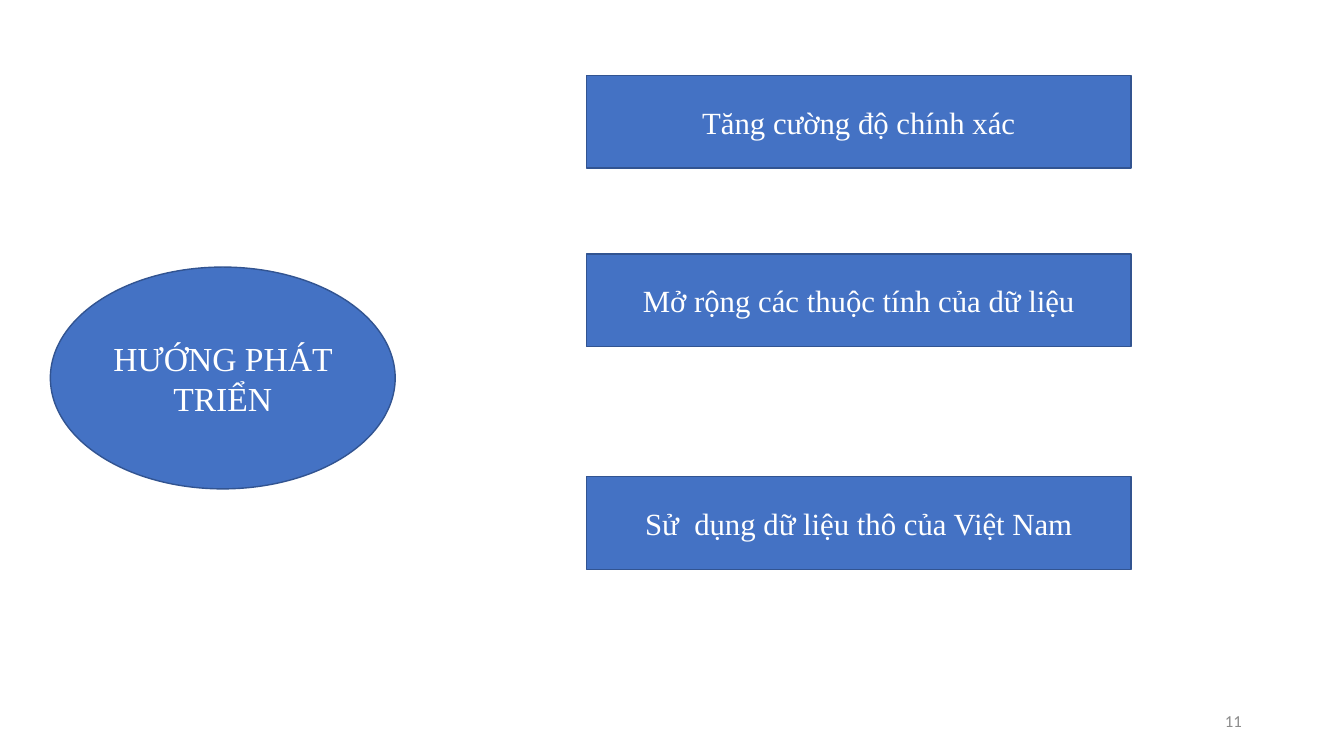
from pptx import Presentation
from pptx.dml.color import RGBColor as Rgb
from pptx.enum.shapes import MSO_SHAPE as Kind
from pptx.enum.text import MSO_ANCHOR as Anchor, PP_ALIGN as Align
from pptx.util import Cm, Pt

BLUE = Rgb(0x44, 0x72, 0xC4)
EDGE = Rgb(0x32, 0x54, 0x91)
WHITE = Rgb(0xFF, 0xFF, 0xFF)
GRAY = Rgb(0x8C, 0x8C, 0x8C)
SERIF = "Times New Roman"
GOALS = [
    (0, "Tăng cường độ chính xác"),
    (4.5, "Mở rộng các thuộc tính của dữ liệu"),
    (10.11, "Sử  dụng dữ liệu thô của Việt Nam"),
]


def write(shape, text, size, color, face, align):
    """Set the text of a shape and format it."""
    frame = shape.text_frame
    frame.word_wrap = True
    frame.vertical_anchor = Anchor.MIDDLE
    frame.text = text
    para = frame.paragraphs[0]
    para.alignment = align
    font = para.runs[0].font
    font.size = Pt(size)
    font.name = face
    font.color.rgb = color


def add_node(slide, kind, box, text, size):
    """Draw one blue shape with centred text in the box."""
    node = slide.shapes.add_shape(kind, *map(Cm, box))
    node.shadow.inherit = False
    node.fill.solid()
    node.fill.fore_color.rgb = BLUE
    node.line.color.rgb = EDGE
    node.line.width = Pt(1)
    write(node, text, size, WHITE, SERIF, Align.CENTER)


def add_topic(slide, box):
    """Draw the topic oval that fills the box."""
    add_node(slide, Kind.OVAL, box, "HƯỚNG PHÁT TRIỂN", 24)


def add_goals(slide, box):
    """Draw the goals down the box, the last one ending at its bottom."""
    left, top, width, height = box
    tall = height - GOALS[-1][0]
    for drop, text in GOALS:
        add_node(slide, Kind.RECTANGLE, (left, top + drop, width, tall), text, 22)


def add_number(slide, box):
    """Put the page number at the right of the box."""
    label = slide.shapes.add_textbox(*map(Cm, box))
    write(label, "11", 12, GRAY, "Calibri", Align.RIGHT)


def main():
    """Build the slide and save it."""
    deck = Presentation()
    deck.slide_width, deck.slide_height = Cm(33.87), Cm(19.05)
    slide = deck.slides.add_slide(deck.slide_layouts[6])
    add_number(slide, (23.93, 17.65, 7.62, 1.02))
    add_topic(slide, (1.27, 6.73, 8.69, 5.59))
    add_goals(slide, (14.78, 1.9, 13.72, 12.45))
    deck.save("out.pptx")


if __name__ == "__main__":
    main()
